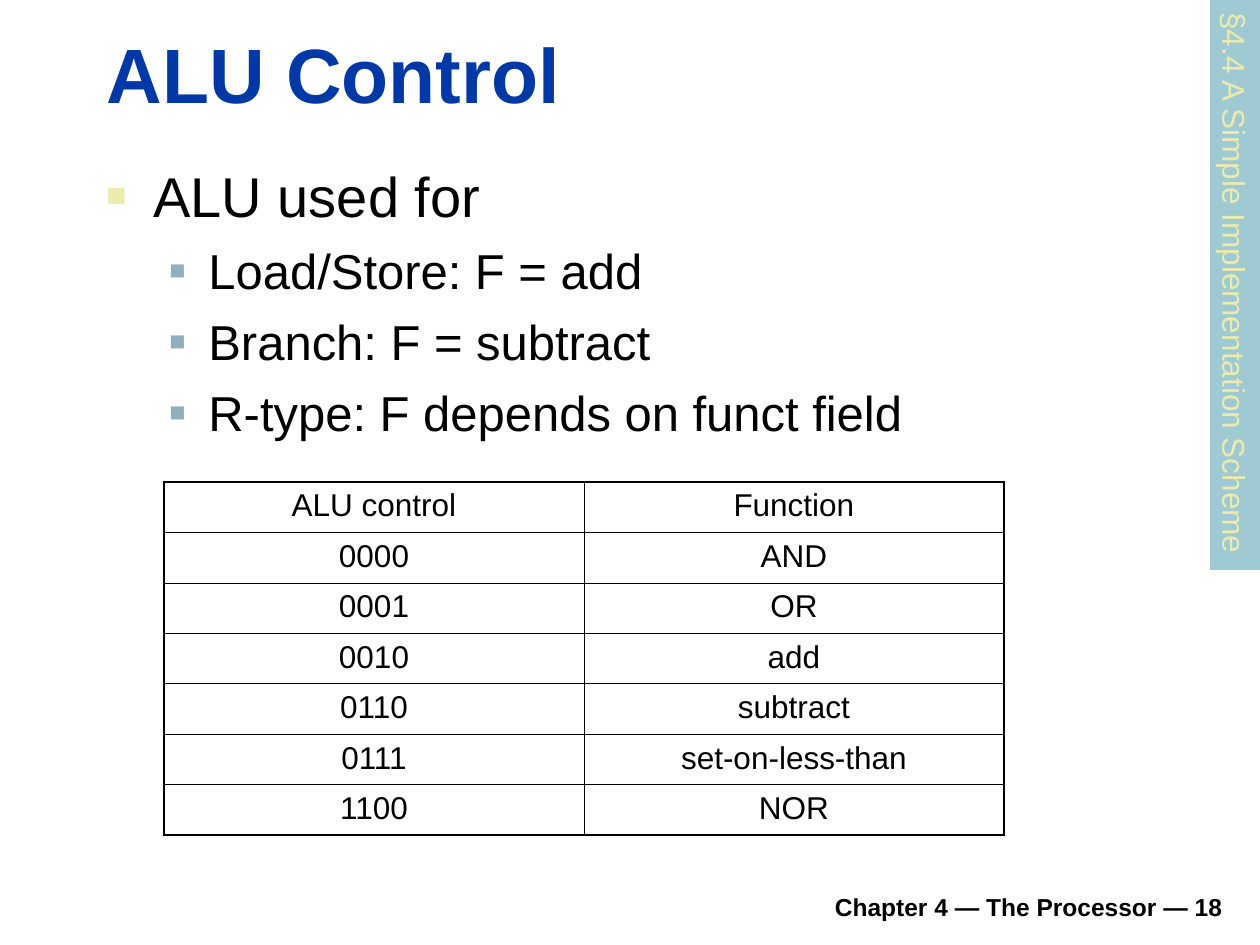
"""Build the ALU Control slide with its bullets, function table and section strip."""
from typing import NamedTuple

from lxml.etree import SubElement
from pptx import Presentation
from pptx.dml.color import RGBColor
from pptx.enum.shapes import MSO_SHAPE
from pptx.enum.text import MSO_ANCHOR, MSO_AUTO_SIZE, PP_ALIGN
from pptx.oxml.ns import qn
from pptx.util import Emu, Pt

EMU_PER_PX = 914400 / 126
FONT = "Arial"
BLACK = RGBColor(0x00, 0x00, 0x00)
BLUE = RGBColor(0x00, 0x39, 0xA6)
CREAM = RGBColor(0xEC, 0xEA, 0xAC)
STEEL = RGBColor(0x91, 0xAF, 0xBF)
TEAL = RGBColor(0x9F, 0xCA, 0xD3)
OUTER, HEADER_RULE, INNER = 1.08, 0.75, 0.45


class Frame(NamedTuple):
    left: int
    top: int
    width: int
    height: int


class BulletStyle(NamedTuple):
    level: int
    size: int
    margin: int
    hanging: int
    percent: int
    color: RGBColor
    space_before: int


class Bullet(NamedTuple):
    text: str
    style: BulletStyle


class Operation(NamedTuple):
    control: str
    function: str


MAIN = BulletStyle(0, 32, 47, 47, 60, CREAM, 8)
SUB = BulletStyle(1, 28, 102, 39, 55, STEEL, 7)
BULLETS = [
    Bullet("ALU used for", MAIN),
    Bullet("Load/Store: F = add", SUB),
    Bullet("Branch: F = subtract", SUB),
    Bullet("R-type: F depends on funct field", SUB),
]
OPERATIONS = [
    Operation("ALU control", "Function"),
    Operation("0000", "AND"),
    Operation("0001", "OR"),
    Operation("0010", "add"),
    Operation("0110", "subtract"),
    Operation("0111", "set-on-less-than"),
    Operation("1100", "NOR"),
]


def px(length: int) -> Emu:
    return Emu(round(length * EMU_PER_PX))


def place(shape, frame: Frame) -> None:
    shape.left, shape.top, shape.width, shape.height = map(px, frame)


def set_font(paragraph, size: int, color: RGBColor, bold: bool = False) -> None:
    font = paragraph.font
    font.name, font.size, font.bold = FONT, Pt(size), bold
    font.color.rgb = color


def add_title(slide, frame: Frame, text: str) -> None:
    title = slide.shapes.title
    place(title, frame)
    title.text_frame.text = text
    title.text_frame.vertical_anchor = MSO_ANCHOR.BOTTOM
    title.text_frame.auto_size = MSO_AUTO_SIZE.SHAPE_TO_FIT_TEXT
    paragraph = title.text_frame.paragraphs[0]
    paragraph.alignment = PP_ALIGN.LEFT
    set_font(paragraph, 44, BLUE, bold=True)


def set_bullet(paragraph, style: BulletStyle) -> None:
    properties = paragraph._p.get_or_add_pPr()
    properties.set("marL", str(px(style.margin)))
    properties.set("indent", str(-px(style.hanging)))
    color = SubElement(properties, qn("a:buClr"))
    SubElement(color, qn("a:srgbClr"), val=str(style.color))
    SubElement(properties, qn("a:buSzPct"), val=str(style.percent * 1000))
    SubElement(properties, qn("a:buFont"), typeface=FONT)
    SubElement(properties, qn("a:buChar"), char="■")


def add_bullets(slide, frame: Frame, bullets: list[Bullet]) -> None:
    box = slide.shapes.add_textbox(*map(px, frame))
    text_frame = box.text_frame
    text_frame.word_wrap = True
    for index, bullet in enumerate(bullets):
        paragraph = text_frame.add_paragraph() if index else text_frame.paragraphs[0]
        paragraph.text = bullet.text
        paragraph.level = bullet.style.level
        set_bullet(paragraph, bullet.style)
        paragraph.space_before = Pt(bullet.style.space_before if index else 0)
        set_font(paragraph, bullet.style.size, BLACK)


def set_borders(cell, widths: dict[str, float]) -> None:
    properties = cell._tc.get_or_add_tcPr()
    for side, width in widths.items():
        line = SubElement(properties, qn(f"a:ln{side}"), w=str(Pt(width)))
        fill = SubElement(line, qn("a:solidFill"))
        SubElement(fill, qn("a:srgbClr"), val=str(BLACK))


def row_rule(edge: int, row_count: int) -> float:
    if edge in (0, row_count):
        return OUTER
    return HEADER_RULE if edge == 1 else INNER


def add_operations(slide, frame: Frame, operations: list[Operation]) -> None:
    row_count = len(operations)
    table = slide.shapes.add_table(row_count, 2, *map(px, frame)).table
    table.first_row = table.horz_banding = False
    for row, operation in enumerate(operations):
        table.rows[row].height = px(frame.height) // row_count
        for column, text in enumerate(operation):
            cell = table.cell(row, column)
            set_borders(cell, {
                "L": INNER if column else OUTER,
                "R": OUTER if column else INNER,
                "T": row_rule(row, row_count),
                "B": row_rule(row + 1, row_count),
            })
            cell.fill.background()
            cell.text = text
            paragraph = cell.text_frame.paragraphs[0]
            paragraph.alignment = PP_ALIGN.CENTER
            set_font(paragraph, 18, BLACK)


def add_section_strip(slide, frame: Frame, text: str) -> None:
    strip = slide.shapes.add_shape(MSO_SHAPE.RECTANGLE, *map(px, frame))
    strip.rotation = 90
    strip.shadow.inherit = False
    strip.fill.solid()
    strip.fill.fore_color.rgb = TEAL
    strip.line.fill.background()
    text_frame = strip.text_frame
    text_frame.text = text
    text_frame.word_wrap = False
    text_frame.auto_size = MSO_AUTO_SIZE.SHAPE_TO_FIT_TEXT
    text_frame.vertical_anchor = MSO_ANCHOR.TOP
    paragraph = text_frame.paragraphs[0]
    paragraph.alignment = PP_ALIGN.LEFT
    set_font(paragraph, 18, CREAM)


def add_footer(slide, frame: Frame, text: str) -> None:
    box = slide.shapes.add_textbox(*map(px, frame))
    box.text_frame.text = text
    box.text_frame.word_wrap = True
    box.text_frame.vertical_anchor = MSO_ANCHOR.BOTTOM
    paragraph = box.text_frame.paragraphs[0]
    paragraph.alignment = PP_ALIGN.RIGHT
    set_font(paragraph, 14, BLACK, bold=True)


def main() -> None:
    deck = Presentation()
    deck.slide_width, deck.slide_height = px(1260), px(945)
    slide = deck.slides.add_slide(deck.slide_layouts[5])
    add_footer(slide, Frame(233, 879, 1002, 49), "Chapter 4 — The Processor — 18")
    add_title(slide, Frame(94, 20, 1138, 105), "ALU Control")
    add_bullets(slide, Frame(94, 155, 1139, 328), BULLETS)
    add_section_strip(slide, Frame(950, 260, 570, 50), "§4.4 A Simple Implementation Scheme")
    add_operations(slide, Frame(164, 482, 840, 353), OPERATIONS)
    deck.save("out.pptx")


if __name__ == "__main__":
    main()
